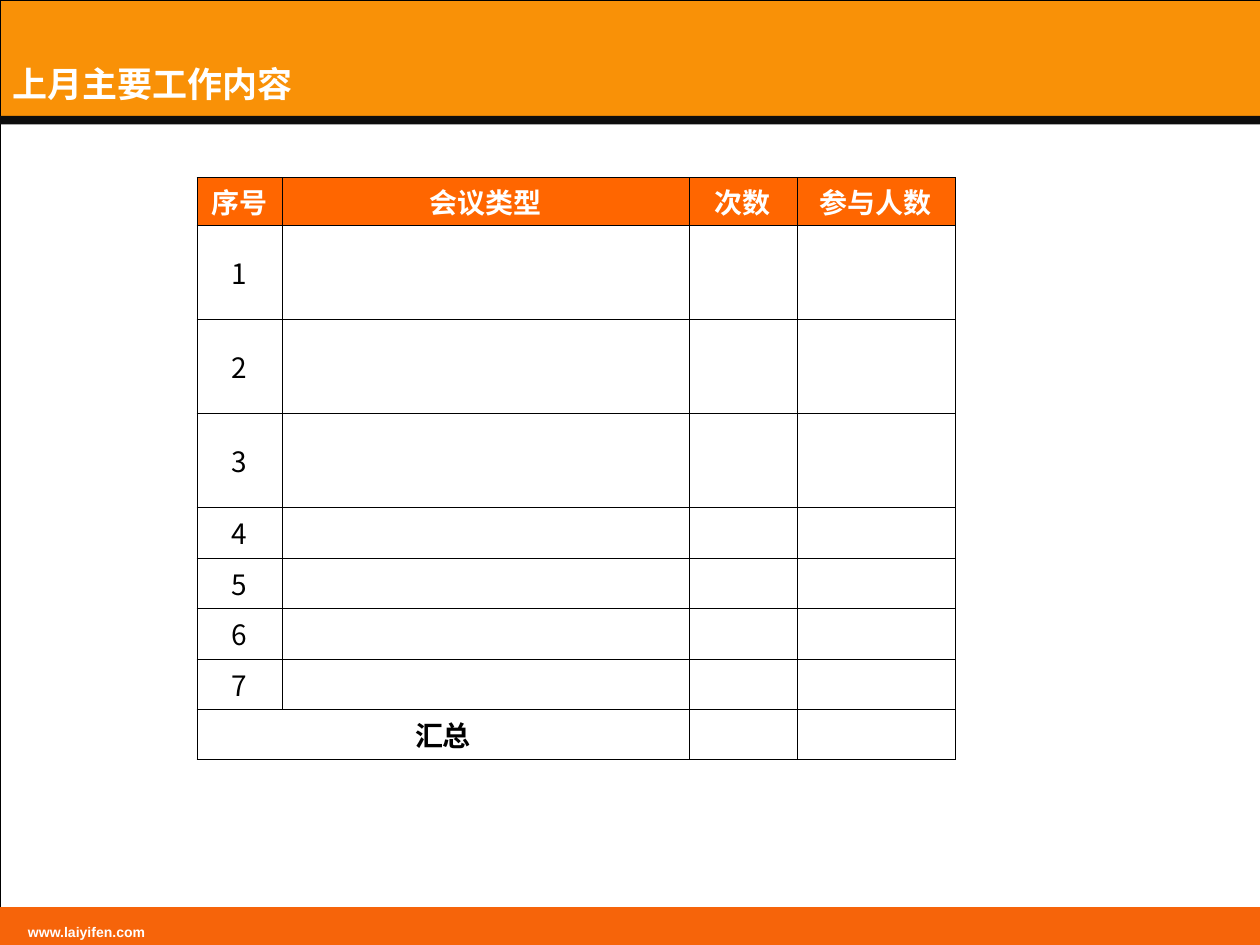
import dataclasses
from typing import Any, Optional

import lxml.etree
import pptx
import pptx.dml.color
import pptx.enum.shapes
import pptx.enum.text
import pptx.oxml.ns
import pptx.util

Pt = pptx.util.Pt
Align = pptx.enum.text.PP_ALIGN
Anchor = pptx.enum.text.MSO_ANCHOR
qn = pptx.oxml.ns.qn


@dataclasses.dataclass(frozen=True)
class Theme:
    white: str = "FFFFFF"
    black: str = "000000"
    amber: str = "F99107"
    dark: str = "0D0D0D"
    foot: str = "F6640A"
    head: str = "FF6600"
    latin: str = "Arial"
    asian: str = "Noto Sans CJK SC"
    title: float = 20
    body: float = 16
    small: float = 8
    rule: float = 0.23


@dataclasses.dataclass(frozen=True)
class Band:
    top: float
    height: float
    fill: Optional[str] = None
    line: Optional[str] = None


THEME = Theme()
WIDTH, HEIGHT = 720, 540
BANDS = [
    Band(0, 67.5, fill=THEME.amber),
    Band(0, HEIGHT, line=THEME.black),
    Band(66.2, 5, fill=THEME.dark),
    Band(518.4, 21.6, fill=THEME.foot),
]
HEADS = ["序号", "会议类型", "次数", "参与人数"]
COLS = [48.6, 232.6, 61.7, 90.2]
ROWS = [27.4] + [53.8] * 3 + [28.8] * 5


def rgb(code: str) -> Any:
    return pptx.dml.color.RGBColor.from_string(code)


def write(frame: Any, text: str, *, size: float, color: str, font: str,
          bold: bool = False, align: Any = Align.LEFT,
          space: Optional[float] = None) -> None:
    """Put one formatted run in a text frame."""
    para = frame.paragraphs[0]
    para.alignment = align
    if space:
        para.line_spacing = space
    run = para.add_run()
    run.text = text
    run.font.size = Pt(size)
    run.font.bold = bold
    run.font.name = font
    run.font.color.rgb = rgb(color)
    east = lxml.etree.SubElement(run.font._element, qn("a:ea"))
    east.set("typeface", THEME.asian)


def draw_band(slide: Any, band: Band) -> None:
    shape = slide.shapes.add_shape(
        pptx.enum.shapes.MSO_SHAPE.RECTANGLE,
        0, Pt(band.top), Pt(WIDTH), Pt(band.height))
    shape.shadow.inherit = False
    if band.fill:
        shape.fill.solid()
        shape.fill.fore_color.rgb = rgb(band.fill)
    else:
        shape.fill.background()
    if band.line:
        shape.line.color.rgb = rgb(band.line)
        shape.line.width = Pt(0.2)
    else:
        shape.line.fill.background()


def add_box(slide: Any, top: float, width: float, height: float,
            inset: float = 7.2) -> Any:
    box = slide.shapes.add_textbox(0, Pt(top), Pt(width), Pt(height))
    frame = box.text_frame
    frame.word_wrap = True
    frame.margin_left = Pt(inset)
    return frame


def style_cell(cell: Any, fill: Optional[str] = None) -> None:
    """Set margins, fill and the four borders."""
    cell.vertical_anchor = Anchor.MIDDLE
    cell.margin_left = cell.margin_right = Pt(0.7)
    cell.margin_top = cell.margin_bottom = Pt(2)
    if fill:
        cell.fill.solid()
        cell.fill.fore_color.rgb = rgb(fill)
    else:
        cell.fill.background()
    props = cell._tc.get_or_add_tcPr()
    for spot, side in enumerate(("lnL", "lnR", "lnT", "lnB")):
        line = lxml.etree.Element(qn("a:" + side), w=str(Pt(THEME.rule)))
        solid = lxml.etree.SubElement(line, qn("a:solidFill"))
        lxml.etree.SubElement(solid, qn("a:srgbClr"), val=THEME.black)
        props.insert(spot, line)


def draw_table(slide: Any) -> None:
    table = slide.shapes.add_table(
        len(ROWS), len(COLS), Pt(112.5), Pt(101.3),
        Pt(sum(COLS)), Pt(sum(ROWS))).table
    table.first_row = table.horz_banding = False
    for col, width in zip(table.columns, COLS):
        col.width = Pt(width)
    for row, height in zip(table.rows, ROWS):
        row.height = Pt(height)

    last = len(ROWS) - 1
    table.cell(last, 0).merge(table.cell(last, 1))
    labels = [HEADS] + [[str(num)] for num in range(1, last)] + [["汇总"]]
    for r, texts in enumerate(labels):
        top = r == 0
        for c in range(len(COLS)):
            cell = table.cell(r, c)
            style_cell(cell, THEME.head if top else None)
            if c < len(texts):
                write(cell.text_frame, texts[c], size=THEME.body,
                      color=THEME.white if top else THEME.black,
                      font=THEME.asian, bold=r in (0, last),
                      align=Align.CENTER)


def main() -> None:
    deck = pptx.Presentation()
    deck.slide_width, deck.slide_height = Pt(WIDTH), Pt(HEIGHT)
    slide = deck.slides.add_slide(deck.slide_layouts[6])

    # Page bands and frame
    for band in BANDS:
        draw_band(slide, band)

    # Footer address
    write(add_box(slide, 522, 473, 20.2, inset=16), "www.laiyifen.com",
          size=THEME.small, color=THEME.white, font=THEME.latin,
          bold=True, space=1.2)

    # Meeting table
    draw_table(slide)

    # Title
    write(add_box(slide, 32.4, 585.4, 41), "上月主要工作内容",
          size=THEME.title, color=THEME.white, font=THEME.latin, bold=True)

    deck.save("out.pptx")


if __name__ == "__main__":
    main()
